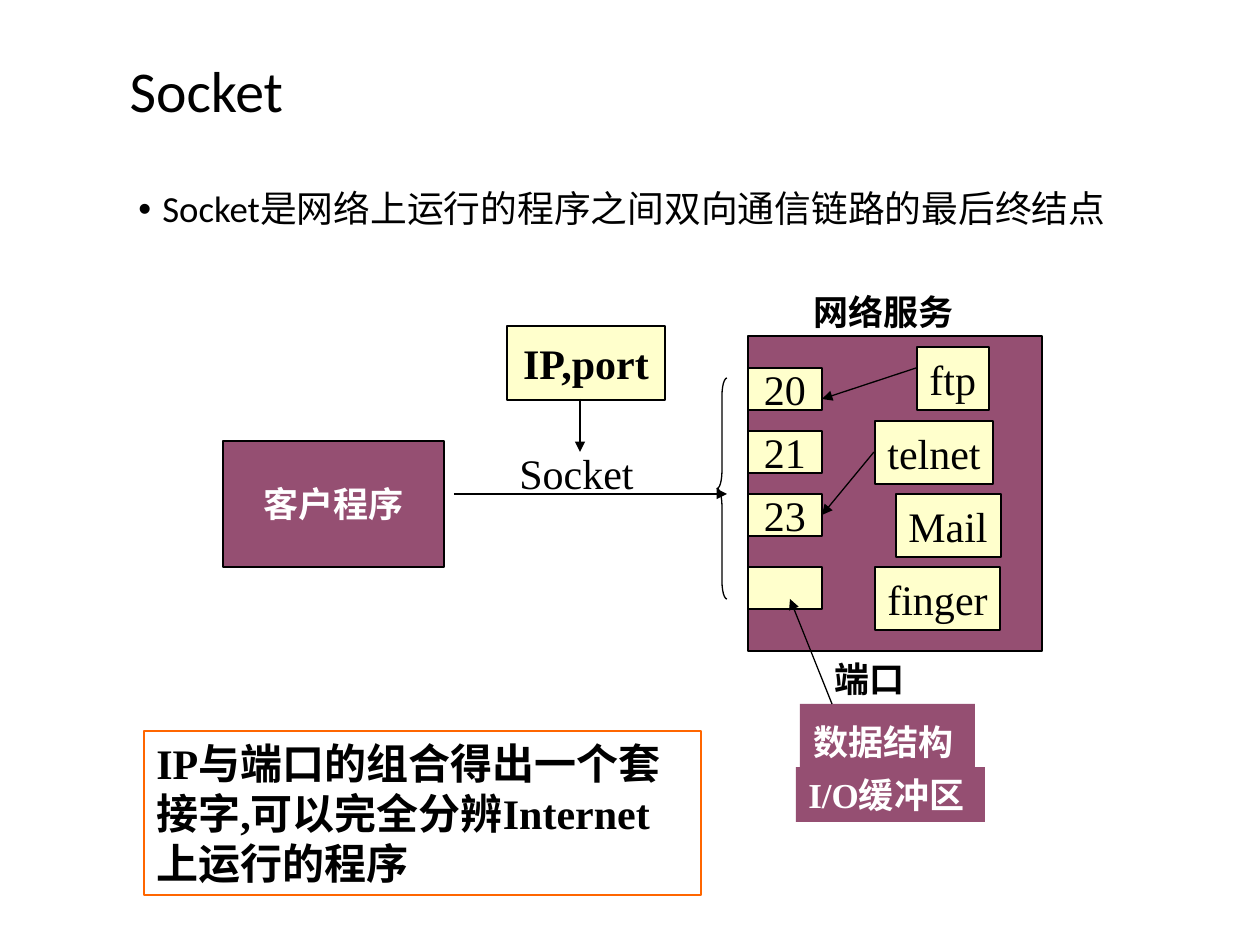
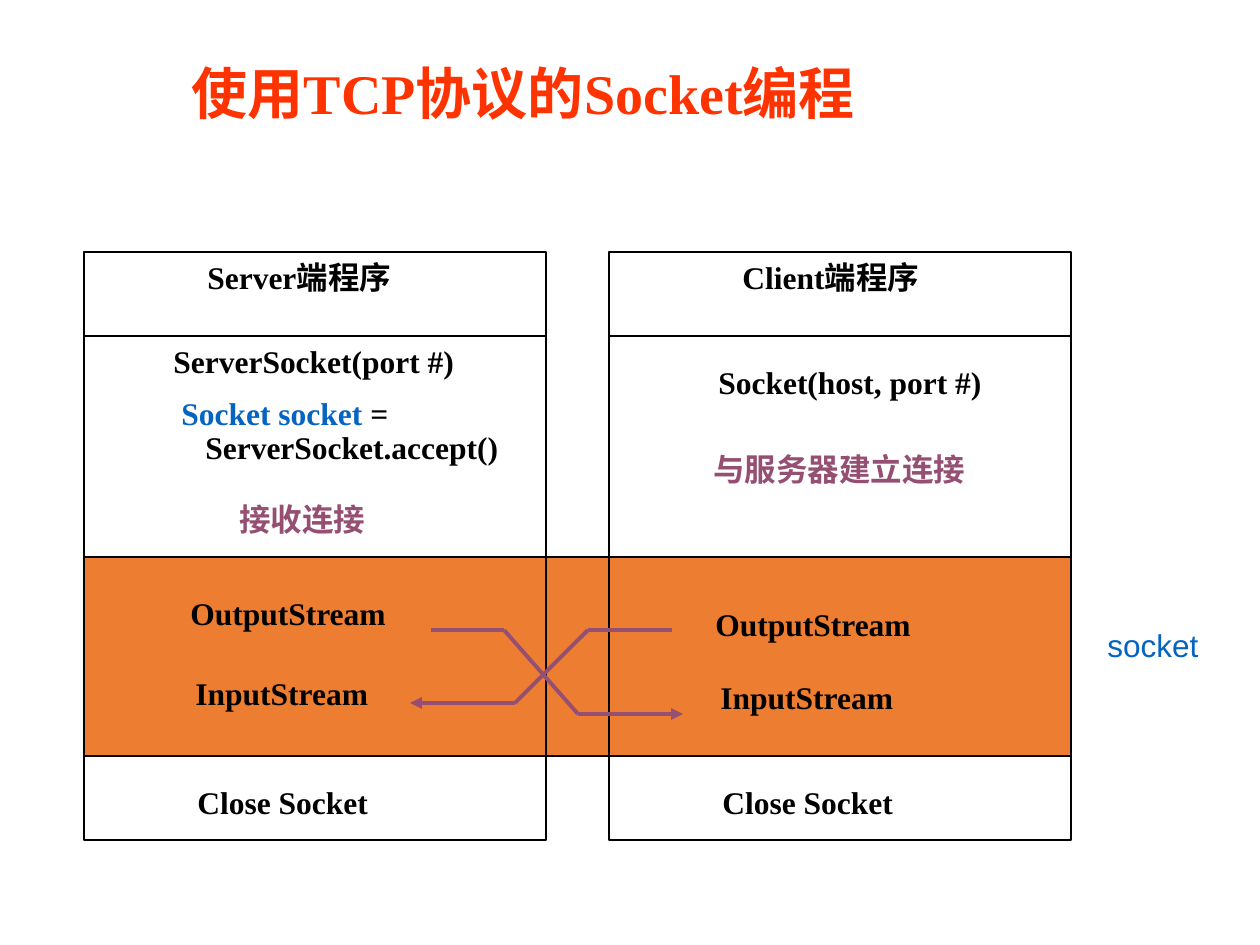
import itertools

import pptx
import pptx.dml.color
import pptx.enum.shapes
import pptx.enum.text
import pptx.oxml
import pptx.oxml.ns
import pptx.util

PX_PER_INCH = 126
COLORS = {
    "black": "000000", "white": "FFFFFF", "plum": "954F72", "cream": "FFFFCC",
    "orange": "ED7D31", "note": "FF6600", "title": "FF3300", "blue": "0563C1",
}
SERIF = "Times New Roman"
SANS = "Calibri"
SHAPES = pptx.enum.shapes.MSO_SHAPE
ALIGN = pptx.enum.text.PP_ALIGN
ANCHOR = pptx.enum.text.MSO_ANCHOR


def px(length):
    return pptx.util.Emu(round(length * 914400 / PX_PER_INCH))


def rgb(name):
    return pptx.dml.color.RGBColor.from_string(COLORS[name])


def add_element(parent, tag, **attributes):
    element = pptx.oxml.parse_xml(f"<{tag} {pptx.oxml.ns.nsdecls('a')}/>")
    for key, value in attributes.items():
        element.set(key, value)
    parent.append(element)
    return element


def format_span(span, size, color="black", bold=False, font=SERIF):
    span.font.size = pptx.util.Pt(size)
    span.font.name = font
    span.font.bold = bold
    span.font.color.rgb = rgb(color)


def write(shape, text, size, color="black", bold=False, font=SERIF, centered=False):
    frame = shape.text_frame
    frame.text = text
    frame.word_wrap = not centered
    frame.auto_size = pptx.enum.text.MSO_AUTO_SIZE.NONE
    frame.vertical_anchor = ANCHOR.MIDDLE if centered else ANCHOR.TOP
    if not centered:
        frame.margin_right = 0
    for para in frame.paragraphs:
        para.alignment = ALIGN.CENTER if centered else ALIGN.LEFT
        for span in para.runs:
            format_span(span, size, color, bold, font)
    return frame


class Region:
    def __init__(self, page, left, top):
        self.shapes = page.shapes
        self.left, self.top = left, top

    def place(self, left, top, width, height):
        return px(self.left + left), px(self.top + top), px(width), px(height)

    def block(self, left, top, width, height, fill=None, line="black", kind=SHAPES.RECTANGLE):
        shape = self.shapes.add_shape(kind, *self.place(left, top, width, height))
        shape.shadow.inherit = False
        if fill:
            shape.fill.solid()
            shape.fill.fore_color.rgb = rgb(fill)
        else:
            shape.fill.background()
        if line:
            shape.line.color.rgb = rgb(line)
            shape.line.width = pptx.util.Pt(0.75)
        else:
            shape.line.fill.background()
        return shape

    def label(self, text, left, top, width, height=50, size=18, **style):
        box = self.shapes.add_textbox(*self.place(left, top, width, height))
        return write(box, text, size, **style)

    def link(self, start, end, color="black", weight=0.75, arrow=False):
        line = self.shapes.add_connector(
            pptx.enum.shapes.MSO_CONNECTOR.STRAIGHT,
            px(self.left + start[0]), px(self.top + start[1]),
            px(self.left + end[0]), px(self.top + end[1]))
        line.line.color.rgb = rgb(color)
        line.line.width = pptx.util.Pt(weight)
        if arrow:
            add_element(line.line._get_or_add_ln(), "a:tailEnd", type="triangle")
        add_element(line._element.spPr, "a:effectLst")


def add_page(deck, title, place, size, **style):
    page = deck.slides.add_slide(deck.slide_layouts[5])
    heading = page.shapes.title
    heading.left, heading.top, heading.width, heading.height = map(px, place)
    write(heading, title, size, **style)
    heading.text_frame.vertical_anchor = ANCHOR.MIDDLE
    return page


def add_bullet(page, left, top):
    region = Region(page, left, top)
    frame = region.label("Socket是网络上运行的程序之间双向通信链路的最后终结点",
                         0, 0, 1071, 60, size=21, font=SANS)
    para = frame.paragraphs[0]
    para.line_spacing = 0.9
    para.space_before = pptx.util.Pt(7.5)
    properties = para._p.get_or_add_pPr()
    properties.set("marL", str(px(24)))
    properties.set("indent", str(px(-24)))
    add_element(properties, "a:buFont", typeface="Arial")
    add_element(properties, "a:buChar", char="•")


def add_server(page, left, top):
    region = Region(page, left, top)
    region.block(0, 0, 294, 315, "plum")
    region.label("网络服务", 53, -52, 165, 55, size=20, bold=True)
    region.label("端口", 74, 315, 95, 55, size=20, bold=True)
    services = [("ftp", 169, 11, 72), ("telnet", 127, 85, 118),
                ("Mail", 148, 158, 105), ("finger", 127, 231, 125)]
    for name, x, y, width in services:
        write(region.block(x, y, width, 63, "cream"), name, 24)
    for port, y in [("20", 32), ("21", 95), ("23", 158), ("", 231)]:
        slot = region.block(0, y, 74, 42, "cream")
        if port:
            write(slot, port, 24, centered=True)
    region.block(52, 368, 175, 116, "plum", None)
    for text, x, y, width in [("数据结构", 53, 378, 165), ("I/O缓冲区", 48, 431, 189)]:
        write(region.block(x, y, width, 55, "plum", None), text, 20, "white", True)
    for start, end in [((84, 368), (42, 263)), ((168, 32), (74, 63)), ((126, 116), (74, 179))]:
        region.link(start, end, arrow=True)


def add_client(page, left, top):
    region = Region(page, left, top)
    write(region.block(0, 0, 221, 126, "plum"), "客户程序", 20, "white", True, centered=True)
    region.link((231, 53), (504, 53), arrow=True)
    brace = region.block(494, -63, 10, 221, kind=SHAPES.LEFT_BRACE)
    brace.adjustments[0] = 1.75
    region.label("Socket", 284, 0, 139, 63, size=24)
    address = region.block(284, -115, 158, 74, "cream")
    write(address, "IP,port", 24, bold=True, centered=True)
    region.link((357, -42), (357, 11), arrow=True)


def add_note(page, left, top):
    note = Region(page, left, top).block(0, 0, 557, 164, line="note")
    frame = write(note, "IP与端口的组合得出一个套接字,可以完全分辨Internet上运行的程序",
                  24, bold=True)
    frame.margin_right = frame.margin_left


def add_program(page, left, top, labels):
    region = Region(page, left, top)
    region.block(0, 0, 462, 588)
    for y in (84, 305, 504):
        region.link((0, y), (462, y))
    for text, x, y, width, color in labels:
        region.label(text, x, y, width, color=color, bold=True)
    region.label("Close Socket", 101, 525, 195, bold=True)


def add_accept_call(page, left, top):
    frame = Region(page, left, top).label(
        "Socket socket\nServerSocket.accept()", 0, 0, 341, 81, bold=True)
    first, second = frame.paragraphs
    format_span(first.runs[0], 18, "blue", True)
    span = first.add_run()
    span.text = " ="
    format_span(span, 18, bold=True)
    second._p.get_or_add_pPr().set("marL", str(px(24)))
    for para in frame.paragraphs:
        para.line_spacing = 0.9


def add_stream_crossing(page, left, top):
    region = Region(page, left, top)
    routes = [[(21, 0), (94, 0), (168, 84), (273, 84)],
              [(262, 0), (178, 0), (105, 73), (0, 73)]]
    for route in routes:
        for start, end in itertools.pairwise(route):
            region.link(start, end, "plum", 2.25, arrow=end == route[-1])


def build_socket_page(deck):
    page = add_page(deck, "Socket", (117, 52, 1071, 84), 33, font=SANS)
    page.shapes.title.text_frame.paragraphs[0].line_spacing = 0.9
    add_bullet(page, 126, 185)
    add_server(page, 748, 336)
    add_client(page, 223, 441)
    add_note(page, 144, 731)


def build_tcp_page(deck):
    page = add_page(deck, "使用TCP协议的Socket编程", (179, 52, 861, 81), 32,
                    color="title", bold=True)
    Region(page, 84, 557).block(0, 0, 987, 199, "orange")
    add_program(page, 84, 252, [
        ("Server端程序", 111, 0, 217, "black"),
        ("ServerSocket(port #)", 77, 84, 306, "black"),
        ("接收连接", 143, 242, 151, "plum"),
        ("OutputStream", 94, 336, 220, "black"),
        ("InputStream", 99, 416, 198, "black"),
    ])
    add_accept_call(page, 169, 392)
    add_program(page, 609, 252, [
        ("Client端程序", 121, 0, 209, "black"),
        ("Socket(host, port #)", 97, 105, 289, "black"),
        ("与服务器建立连接", 92, 192, 277, "plum"),
        ("OutputStream", 94, 347, 220, "black"),
        ("InputStream", 99, 420, 198, "black"),
    ])
    add_stream_crossing(page, 410, 630)
    Region(page, 1095, 620).label("socket", 0, 0, 116, color="blue", font="Arial")


def main():
    deck = pptx.Presentation()
    deck.slide_width, deck.slide_height = px(1260), px(945)
    build_socket_page(deck)
    build_tcp_page(deck)
    deck.save("out.pptx")


if __name__ == "__main__":
    main()
